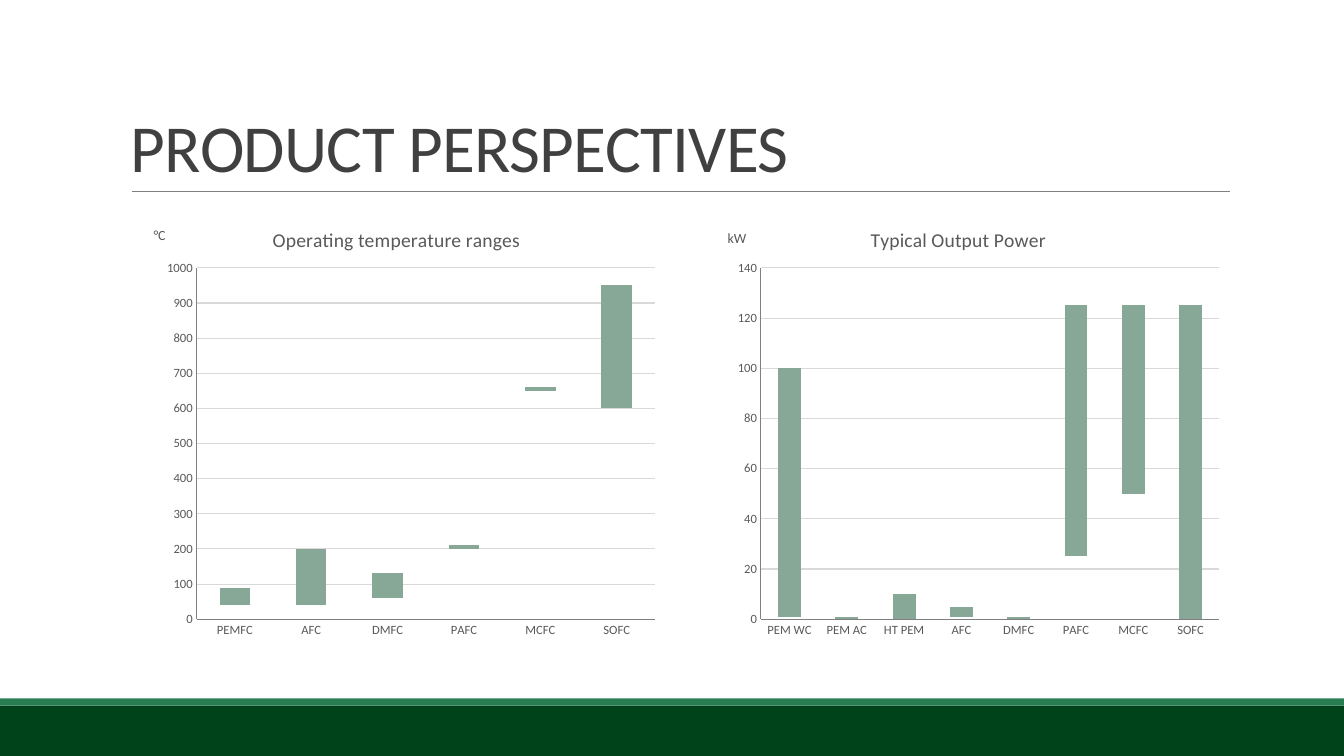
from pptx import Presentation
from pptx.chart.data import CategoryChartData as Data
from pptx.dml.color import RGBColor as RGB
from pptx.enum.chart import XL_CHART_TYPE as Kind, XL_TICK_MARK as Tick
from pptx.enum.shapes import MSO_CONNECTOR as Link, MSO_SHAPE as Form
from pptx.enum.text import MSO_ANCHOR as Anchor
from pptx.oxml import parse_xml
from pptx.oxml.ns import nsdecls, qn
from pptx.util import Cm, Pt

DARK = RGB(0x00, 0x42, 0x19)
GREEN = RGB(0x29, 0x7D, 0x53)
SAGE = RGB(0x87, 0xA8, 0x96)
INK = RGB(0x40, 0x40, 0x40)
TEXT = RGB(0x59, 0x59, 0x59)
GREY = RGB(0x80, 0x80, 0x80)
PALE = RGB(0xD9, 0xD9, 0xD9)
FACE = "Calibri"


def style(font, size, color):
    form = {"name": FACE, "size": Pt(size), "bold": False}
    for key, val in form.items():
        setattr(font, key, val)
    font.color.rgb = color


def place(node, index, **spots):
    """Give a chart part a manual layout, as fractions of the chart."""
    for old in node.findall(qn("c:layout")):
        node.remove(old)
    inner = '<c:layoutTarget val="inner"/>' if "w" in spots else ""
    modes = "".join(f'<c:{key}Mode val="edge"/>' for key in "xy")
    sizes = "".join(f'<c:{key} val="{val}"/>' for key, val in spots.items())
    node.insert(index, parse_xml(
        f'<c:layout {nsdecls("c")}><c:manualLayout>{inner}{modes}{sizes}'
        '</c:manualLayout></c:layout>'))


deck = Presentation()
deck.slide_width, deck.slide_height = Cm(33.87), Cm(19.05)
slide = deck.slides.add_slide(deck.slide_layouts[6])
shapes = slide.shapes

# Footer bands and title rule
for top, high, color in [(17.78, 1.27, DARK), (17.6, 0.18, GREEN)]:
    band = shapes.add_shape(Form.RECTANGLE, 0, Cm(top), deck.slide_width, Cm(high))
    band.shadow.inherit = False
    band.fill.solid()
    band.fill.fore_color.rgb = color
    band.line.fill.background()

rule = shapes.add_connector(Link.STRAIGHT, Cm(3.32), Cm(4.83), Cm(31), Cm(4.83))
rule.line.color.rgb = GREY
rule.line.width = Pt(0.5)
rule._element.spPr.append(parse_xml(f'<a:effectLst {nsdecls("a")}/>'))

# Title
frame = shapes.add_textbox(Cm(3.05), Cm(0.79), Cm(27.94), Cm(4.04)).text_frame
frame.word_wrap = True
frame.vertical_anchor = Anchor.BOTTOM
para = frame.paragraphs[0]
para.line_spacing = 0.85
run = para.add_run()
run.text = "PRODUCT PERSPECTIVES"
style(run.font, 48, INK)
run.font._element.set("spc", "-50")

# Range charts: an unfilled base carries the visible span
charts = [
    (3.05, "Operating temperature ranges", 0.272, "°C", 0.055, 0.046, 1000, 100, {
        "PEMFC": (40, 50), "AFC": (40, 160), "DMFC": (60, 70),
        "PAFC": (200, 10), "MCFC": (650, 10), "SOFC": (600, 350)}),
    (17.27, "Typical Output Power", 0.334, "kW", 0.073, 0.053, 140, 20, {
        "PEM WC": (1, 99), "PEM AC": (0, 1), "HT PEM": (0, 10), "AFC": (1, 4),
        "DMFC": (0, 1), "PAFC": (25, 100), "MCFC": (50, 75), "SOFC": (0, 125)}),
]
for left, name, name_x, unit, unit_x, unit_y, peak, step, spans in charts:
    data = Data()
    data.categories = list(spans)
    for label, vals in zip(("Series 1", "Series 2"), zip(*spans.values())):
        data.add_series(label, vals)
    chart = shapes.add_chart(Kind.COLUMN_STACKED, Cm(left), Cm(5.13),
                             Cm(13.72), Cm(11.18), data).chart
    style(chart.font, 10, TEXT)
    chart.has_legend = False
    place(chart._chartSpace.chart.plotArea, 0, x=0.139, y=0.145, w=0.842, h=0.792)

    plot = chart.plots[0]
    plot.gap_width, plot.overlap = 150, 100
    plot.vary_by_categories = False
    base, span = plot.series
    base.format.fill.background()
    base.format.line.fill.background()
    span.format.fill.solid()
    span.format.fill.fore_color.rgb = SAGE

    scale = chart.value_axis
    for axis in (chart.category_axis, scale):
        axis.major_tick_mark = axis.minor_tick_mark = Tick.NONE
        style(axis.tick_labels.font, 9, TEXT)
        axis.format.line.color.rgb = GREY
        axis.format.line.width = Pt(0.75)
    limits = {"minimum_scale": 0, "maximum_scale": peak, "major_unit": step}
    for key, val in limits.items():
        setattr(scale, key, val)
    grid = scale.major_gridlines.format.line
    grid.color.rgb = PALE
    grid.width = Pt(0.75)

    heads = [(chart.chart_title, name, 14, name_x, 0.043),
             (scale.axis_title, unit, 10, unit_x, unit_y)]
    for head, words, size, x, y in heads:
        line = head.text_frame.paragraphs[0]
        run = line.add_run()
        run.text = words
        style(run.font, size, TEXT)
        head.text_frame._txBody.bodyPr.set("rot", "0")
        place(head._element, 1, x=x, y=y)

deck.save("out.pptx")
